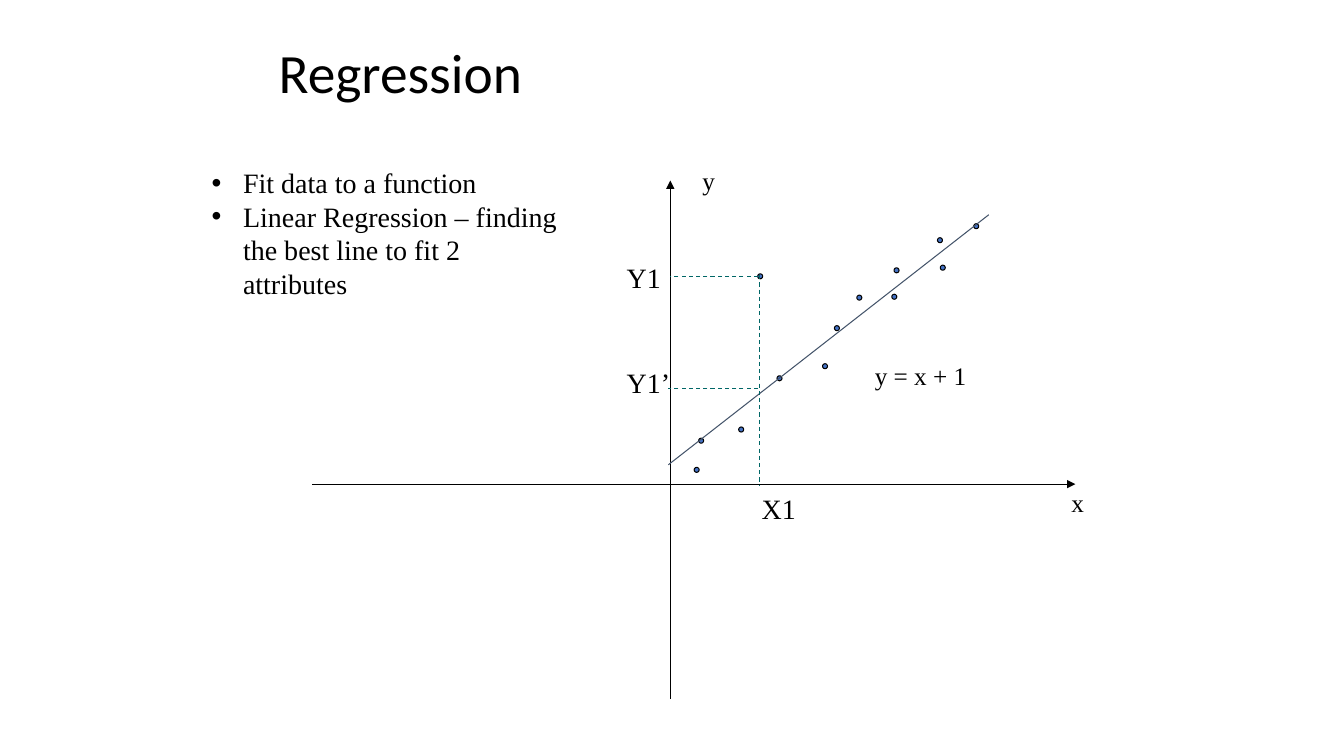
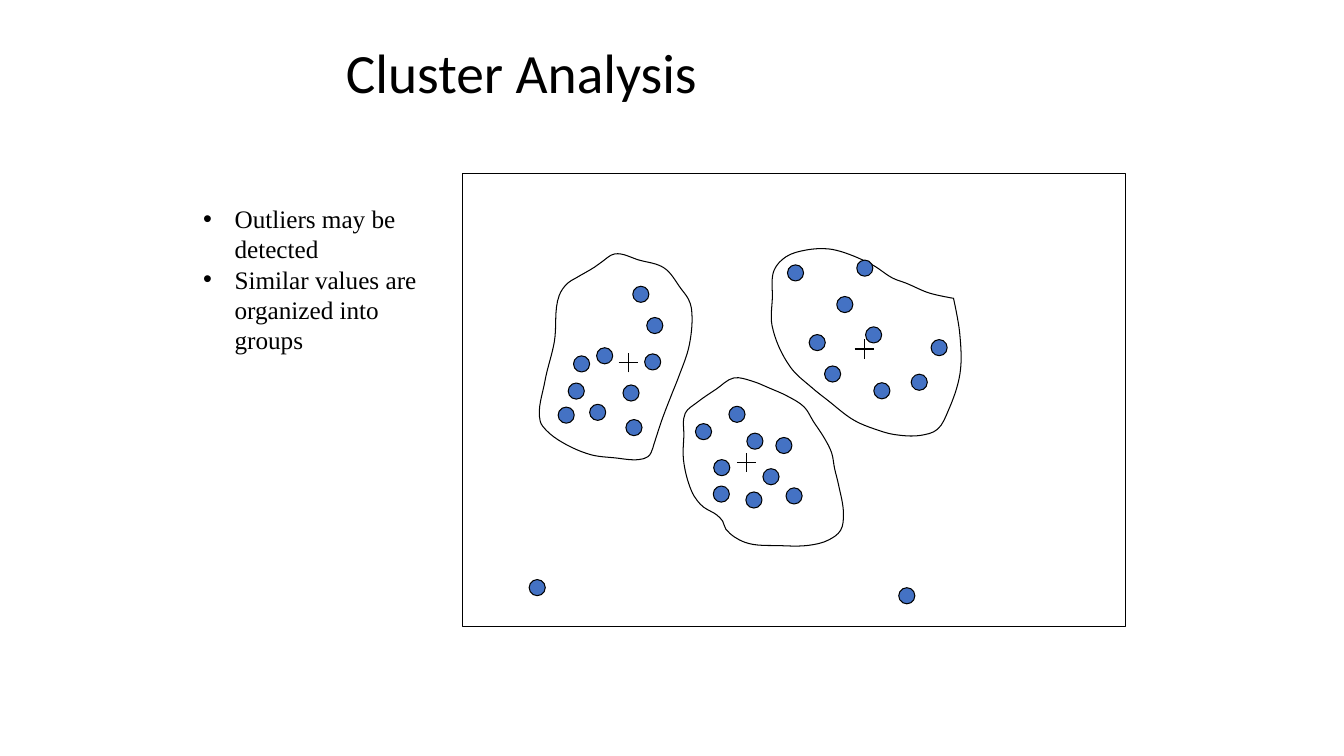
import math

import pptx
import pptx.dml.color
import pptx.enum.dml
import pptx.enum.shapes
import pptx.enum.text
import pptx.oxml.ns
import pptx.util
from lxml import etree

Pt = pptx.util.Pt
qn = pptx.oxml.ns.qn
MSO_SHAPE = pptx.enum.shapes.MSO_SHAPE

# Shared style
BLACK, BLUE, SLATE, TEAL = "000000", "4472C4", "44546A", "006666"
TITLE_FONT, BODY_FONT = "Calibri", "Times New Roman"
TITLE_SIZE = 39.6
TITLE_TOP, TITLE_HEIGHT = 30, 48
LINE_WIDTH = 0.75
BULLET_INDENT = 22.5

# Regression plot, in points from the top left of the plot
AXIS_X, AXIS_Y = 255.8, 216.8
SAMPLE_SIZE = 3.6
SAMPLES = [
    (364.5, 130.8), (332, 139.4), (318.2, 66.6), (304.6, 176), (373, 103.6),
    (389, 81.8), (276, 184), (414, 81.2), (415.6, 62.3), (448.6, 60.4),
    (272.8, 204.8), (446.6, 40.8), (472.5, 30.8),
]
GUIDES = [
    ((319.8, 67.6), (319.8, 218)),
    ((318.4, 68.8), (AXIS_X, 68.8)),
    ((318.4, 148.6), (254.4, 148.6)),
]
PLOT_LABELS = [
    ("x", 535.2, 215.6, 24, 18), ("y", 271.6, -14.5, 24, 18),
    ("y = x + 1", 394.8, 124.8, 80.6, 18),
    ("X1", 314, 218.5, 39, 20), ("Y1", 217.6, 53.5, 39, 20),
    ("Y1’", 217.6, 128.4, 45.4, 20),
]

# Clusters, in points from the top left of the frame
MEMBER_SIZE = 11.5
CROSS_REACH = 6.85
OUTLIERS = [(311.5, 296), (47.5, 290.2)]
CLUSTERS = [
    {
        "center": (118.2, 135.3),
        "members": [
            (90.7, 165), (75.4, 149.8), (114.5, 151.2), (95.7, 124.6),
            (68.2, 167), (79.2, 130.4), (116.6, 175.9), (130, 129),
            (131.5, 103), (121.5, 80.7)],
        "outline": [
            (149.7, 157), (142.5, 175.7), (136.8, 193), (134.6, 199.5),
            (132.5, 202.4), (126, 204.5), (108.7, 203.3), (91.4, 201),
            (71.3, 192.3), (59.7, 183.6), (55.4, 177.2), (58.8, 148.4),
            (65.5, 120.3), (69, 87.2), (75, 78.5), (80.6, 75), (94.3, 67),
            (99.3, 63.4), (108.7, 57.6), (126, 62), (144, 67.7),
            (156.2, 82.8), (161.3, 90), (163.4, 96.5), (162, 122.2),
            (154, 146.2)],
    },
    {
        "center": (202.8, 206.4),
        "members": [
            (166.3, 178.8), (223.7, 188.7), (202.3, 227.6), (214.5, 211),
            (179.3, 204.5), (179, 223.4), (190.2, 166.4), (203, 185.6),
            (231, 224.7)],
        "outline": [
            (185.7, 248.4), (181.4, 244), (172, 238.4), (167.7, 234),
            (163.4, 226.8), (157.7, 204.5), (158, 188), (159, 171.4),
            (167.7, 163.5), (181, 154.3), (193.7, 146.2), (206.6, 148.4),
            (219, 153.4), (232, 159.2), (244, 167), (250.5, 177.2),
            (258.5, 189.4), (263.5, 199.5), (265.7, 211), (268.5, 222.5),
            (272, 243.4), (270, 255), (261.3, 262), (247.7, 265.7),
            (227.3, 266), (201.6, 263.6), (188, 254.2)],
    },
    {
        "center": (286.9, 125.5),
        "members": [
            (281.5, 62), (267.2, 88), (258.5, 137.6), (287.8, 109.7),
            (247.5, 115.2), (334.6, 118.8), (320.4, 143.5), (293.7, 149.6),
            (232, 65.4)],
        "outline": [
            (350.6, 89.3), (355, 113.8), (355.3, 142.6), (347, 169.2),
            (339, 183), (327, 187.2), (307.8, 186.5), (295.2, 183),
            (279.7, 176.5), (260.6, 162), (249.8, 153.4), (234, 138.3),
            (221, 108.8), (221.2, 89), (222.5, 69.2), (231, 59.6),
            (246, 54.7), (261.3, 54), (273.6, 57), (293, 65.6),
            (307.4, 75), (316.8, 78.5), (333.2, 85.5)],
    },
]


def color(value):
    return pptx.dml.color.RGBColor.from_string(value)


def add_text(slide, text, box, size, font=BODY_FONT, wrap=False, bullets=False,
             anchor=pptx.enum.text.MSO_ANCHOR.TOP, spacing=None):
    """Add a text box; each line of the text becomes a paragraph."""
    frame = slide.shapes.add_textbox(*map(Pt, box)).text_frame
    frame.word_wrap = wrap
    if not wrap:
        frame.auto_size = pptx.enum.text.MSO_AUTO_SIZE.SHAPE_TO_FIT_TEXT
    frame.vertical_anchor = anchor
    for index, line in enumerate(text.split("\n")):
        paragraph = frame.add_paragraph() if index else frame.paragraphs[0]
        if bullets:
            properties = paragraph._p.get_or_add_pPr()
            properties.set("marL", str(Pt(BULLET_INDENT)))
            properties.set("indent", str(-Pt(BULLET_INDENT)))
            etree.SubElement(properties, qn("a:buFont"), typeface="Arial")
            etree.SubElement(properties, qn("a:buChar"), char="•")
        if spacing:
            paragraph.line_spacing = spacing
        run = paragraph.add_run()
        run.text = line
        run.font.name = font
        run.font.size = Pt(size)
        run.font.color.rgb = color(BLACK)


def style_shape(shape, fill=None):
    shape.shadow.inherit = False
    if fill:
        shape.fill.solid()
        shape.fill.fore_color.rgb = color(fill)
    else:
        shape.fill.background()
    shape.line.color.rgb = color(BLACK)
    shape.line.width = Pt(LINE_WIDTH)


def add_dot(slide, kind, left, top, size):
    shape = slide.shapes.add_shape(kind, Pt(left), Pt(top), Pt(size), Pt(size))
    style_shape(shape, BLUE)


def add_line(slide, origin, start, end, line_color=BLACK, dashed=False, arrow=False):
    """Add a line between two points measured from the origin."""
    ends = [Pt(base + offset) for point in (start, end)
            for base, offset in zip(origin, point)]
    connector = slide.shapes.add_connector(
        pptx.enum.shapes.MSO_CONNECTOR.STRAIGHT, *ends)
    connector.line.color.rgb = color(line_color)
    connector.line.width = Pt(LINE_WIDTH)
    if dashed:
        connector.line.dash_style = pptx.enum.dml.MSO_LINE.DASH
    if arrow:
        etree.SubElement(connector.line._get_or_add_ln(), qn("a:tailEnd"),
                         type="triangle")
    etree.SubElement(connector._element.spPr, qn("a:effectLst"))


def direction(start, end):
    length = math.dist(start, end)
    return (end[0] - start[0]) / length, (end[1] - start[1]) / length


def tangent(before, point, after):
    """Return the curve's direction at a point, or none at a sharp corner."""
    (in_x, in_y), (out_x, out_y) = direction(before, point), direction(point, after)
    if in_x * out_x + in_y * out_y < 0.5:
        return 0, 0
    return direction((0, 0), (in_x + out_x, in_y + out_y))


def curve_outline(shape):
    """Turn the straight segments of a closed freeform into smooth curves."""
    segments = list(shape._element.iter(qn("a:lnTo")))
    points = [(int(segment[0].get("x")), int(segment[0].get("y")))
              for segment in segments]
    count = len(points)
    tangents = [tangent(points[i - 1], points[i], points[(i + 1) % count])
                for i in range(count)]
    for i, segment in enumerate(segments):
        start, end = points[i - 1], points[i]
        reach = math.dist(start, end) / 3
        first = [p + reach * t for p, t in zip(start, tangents[i - 1])]
        second = [p - reach * t for p, t in zip(end, tangents[i])]
        curve = etree.Element(qn("a:cubicBezTo"))
        for x, y in (first, second, end):
            etree.SubElement(curve, qn("a:pt"), x=str(round(x)), y=str(round(y)))
        segment.getparent().replace(segment, curve)


def add_title(slide, text, left, width):
    add_text(slide, text, (left, TITLE_TOP, width, TITLE_HEIGHT), TITLE_SIZE,
             font=TITLE_FONT, wrap=True, spacing=0.9,
             anchor=pptx.enum.text.MSO_ANCHOR.MIDDLE)


def add_regression_plot(slide, left, top, width, height):
    origin = (left, top)
    # Axes
    add_line(slide, origin, (0, AXIS_Y), (width, AXIS_Y), arrow=True)
    add_line(slide, origin, (AXIS_X, height), (AXIS_X, 0), arrow=True)
    # Samples, fitted line and guides
    for x, y in SAMPLES:
        add_dot(slide, MSO_SHAPE.OVAL, left + x, top + y, SAMPLE_SIZE)
    add_line(slide, origin, (254.4, 203), (483.3, 24.4), SLATE)
    for start, end in GUIDES:
        add_line(slide, origin, start, end, TEAL, dashed=True)
    # Labels
    for text, x, y, label_width, size in PLOT_LABELS:
        add_text(slide, text, (left + x, top + y, label_width, size * 1.55), size)


def add_cluster(slide, origin, center, members, outline):
    left, top = origin
    corners = [(Pt(left + x), Pt(top + y)) for x, y in outline]
    builder = slide.shapes.build_freeform(*corners[0])
    builder.add_line_segments(corners[1:] + corners[:1], close=True)
    shape = builder.convert_to_shape()
    curve_outline(shape)
    style_shape(shape)
    for x, y in members:
        add_dot(slide, MSO_SHAPE.FLOWCHART_CONNECTOR, left + x, top + y, MEMBER_SIZE)
    x, y = center
    add_line(slide, origin, (x - CROSS_REACH, y), (x + CROSS_REACH, y))
    add_line(slide, origin, (x, y + CROSS_REACH), (x, y - CROSS_REACH))


def add_cluster_map(slide, left, top, width, height):
    frame = slide.shapes.add_shape(
        MSO_SHAPE.RECTANGLE, Pt(left), Pt(top), Pt(width), Pt(height))
    style_shape(frame)
    for cluster in CLUSTERS:
        add_cluster(slide, (left, top), **cluster)
    for x, y in OUTLIERS:
        add_dot(slide, MSO_SHAPE.FLOWCHART_CONNECTOR, left + x, top + y, MEMBER_SIZE)


def build_regression_slide(slide):
    add_title(slide, "Regression", 192, 504)
    add_regression_plot(slide, 223, 129, 545.2, 370)
    add_text(slide, "Fit data to a function\n"
             "Linear Regression – finding the best line to fit 2 attributes",
             (144, 114.75, 270, 104.4), 20, wrap=True, bullets=True)


def build_cluster_slide(slide):
    add_title(slide, "Cluster Analysis", 240, 432)
    add_cluster_map(slide, 330.5, 123.8, 473.6, 324)
    add_text(slide, "Outliers may be detected\n"
             "Similar values are organized into groups",
             (138, 141.75, 168, 116.6), 18, wrap=True, bullets=True)


def main():
    presentation = pptx.Presentation()
    presentation.slide_width, presentation.slide_height = Pt(960), Pt(540)
    blank = presentation.slide_layouts[6]
    for build in (build_regression_slide, build_cluster_slide):
        build(presentation.slides.add_slide(blank))
    presentation.save("out.pptx")


if __name__ == "__main__":
    main()
